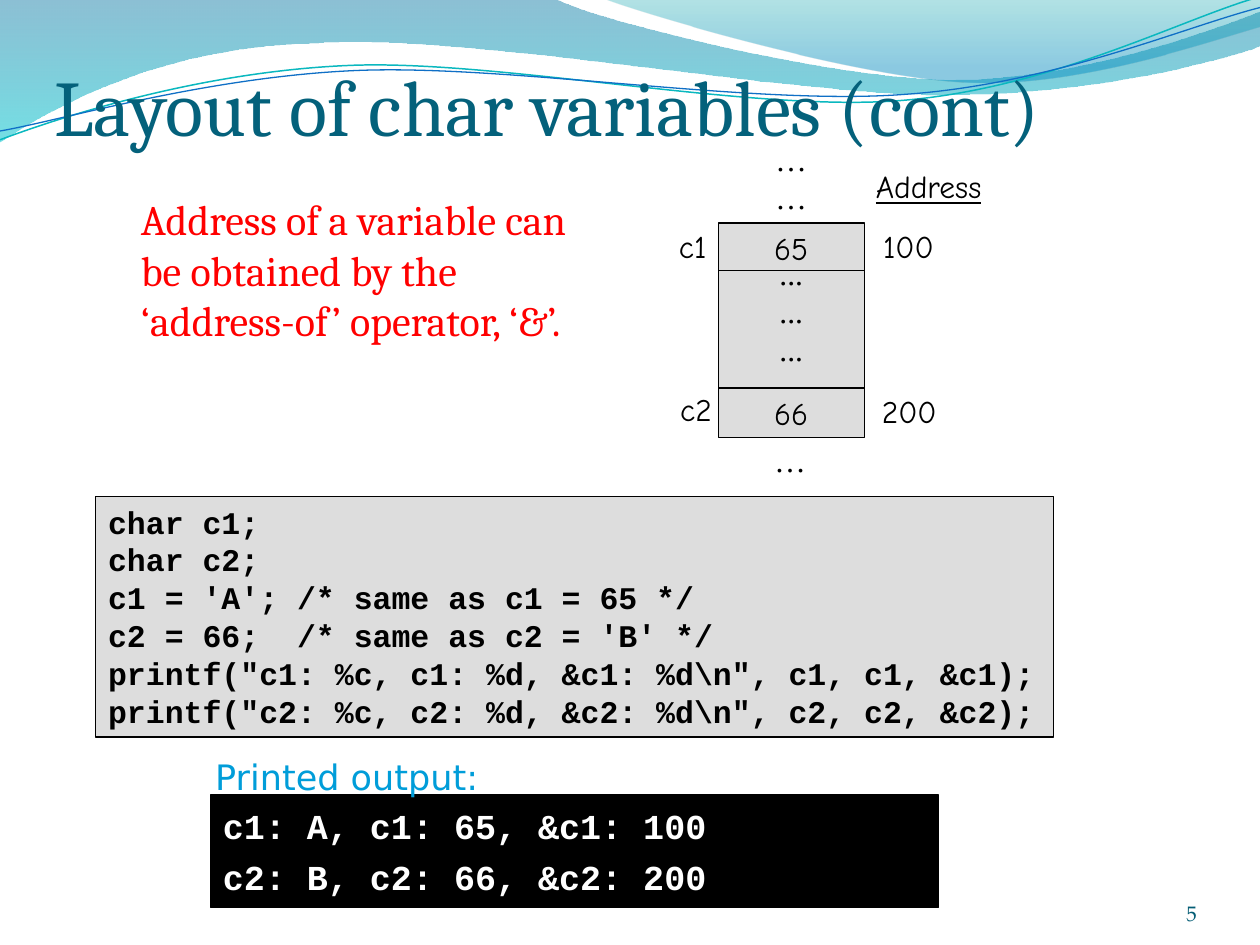
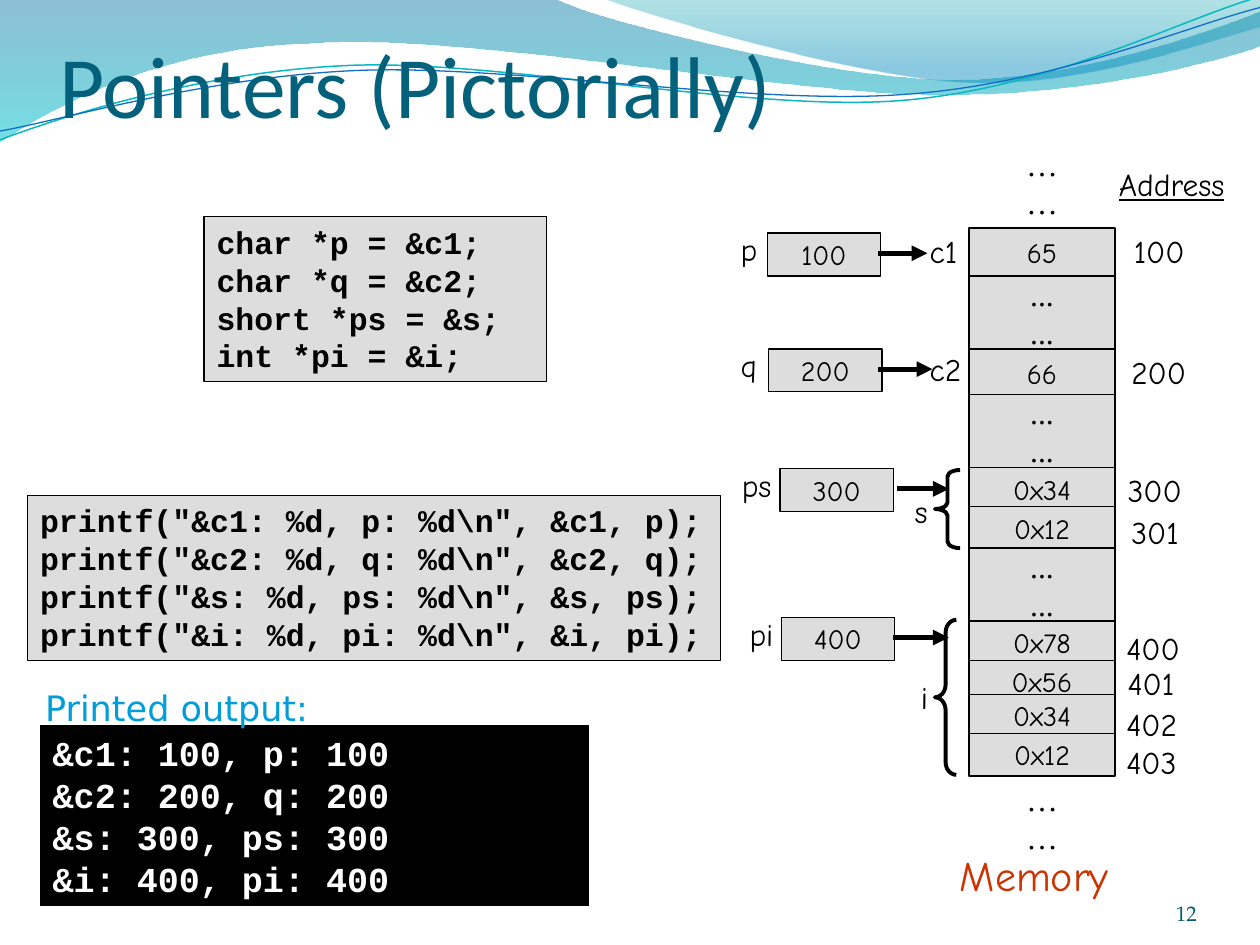
"""Build two slides on the memory layout of C variables and pointers."""
from dataclasses import dataclass, replace
from typing import NamedTuple

from lxml import etree
from pptx import Presentation
from pptx.dml.color import RGBColor
from pptx.enum import shapes as kinds, text as txt
from pptx.oxml import ns
from pptx.util import Inches, Pt

BLACK, WHITE, GREY = "000000", "FFFFFF", "DDDDDD"
CELL_WIDTH = 1.16
GLYPH_WIDTHS = {"1": 0.12, "c": 0.12, "i": 0.07, "s": 0.12, "p": 0.14, "q": 0.13}
LEFT, CENTER, RIGHT = txt.PP_ALIGN.LEFT, txt.PP_ALIGN.CENTER, txt.PP_ALIGN.RIGHT
TOP, MIDDLE, BOTTOM = txt.MSO_ANCHOR.TOP, txt.MSO_ANCHOR.MIDDLE, txt.MSO_ANCHOR.BOTTOM


@dataclass(frozen=True)
class Style:
    """Look of one block of text."""
    font: str
    size: float
    color: str = BLACK
    bold: bool = False
    underline: bool = False
    align: int = LEFT
    anchor: int = TOP
    wrap: bool = True
    insets: tuple = (0.1, 0.05, 0.1, 0.05)
    hanging: float = 0
    gap: float = 0


class Box(NamedTuple):
    """Left, top, width and height in inches."""
    left: float
    top: float
    width: float
    height: float


class Label(NamedTuple):
    """Short text placed beside the memory column."""
    text: str
    left: float
    top: float


class Cell(NamedTuple):
    """One block of the memory column."""
    text: str
    top: float
    height: float


class Pointer(NamedTuple):
    """A named pointer box with an arrow to its target."""
    name: str
    name_left: float
    value: str
    left: float
    top: float
    arrow_start: float
    arrow_tip: float


class Wave(NamedTuple):
    """A path of lines (1 point) and Bezier curves (3 points)."""
    start: tuple
    segments: list
    stops: tuple = ()
    line: tuple = ()


TITLE = Style("Cambria", 45, "04617B", anchor=BOTTOM, insets=(0, 0.05, 0, 0))
PAGE = Style("TeX Gyre Pagella", 12, "045D75", align=RIGHT, anchor=BOTTOM, insets=(0, 0, 0, 0))
LABEL = Style("Comic Neue", 18, wrap=False)
HEADING = replace(LABEL, underline=True, align=CENTER)
VALUE = replace(LABEL, align=CENTER, anchor=MIDDLE)
SMALL_VALUE = replace(VALUE, size=16)
DOTS = replace(VALUE, font="Times New Roman")
CODE = Style("Courier New", 18, bold=True, hanging=0.38)
OUTPUT = Style("Courier New", 20, WHITE, bold=True, anchor=MIDDLE)
CAPTION = Style("DejaVu Sans", 20, "009DD9", wrap=False)

WAVES = [
    Wave((0, 0), [[(4.4, -0.01)], [(4.76, 0.17), (6.64, 0.63), (7.58, 0.63)],
                  [(8.53, 0.63), (9.58, 0.26), (10, 0.09)], [(10.01, 0.36)],
                  [(9.83, 0.44), (8.7, 0.76), (7.46, 0.75)],
                  [(6.22, 0.75), (3.82, 0.28), (2.57, 0.34)],
                  [(1.29, 0.36), (0.46, 0.83), (-0.01, 1.13)], [(0, 0)]],
         stops=((0, "0074A1", 45), (1, "00C6CF", 55))),
    Wave((4.79, -0.01), [[(5.09, 0.11), (6.82, 0.62), (7.69, 0.65)],
                         [(8.56, 0.69), (9.61, 0.32), (10, 0.21)], [(10, 0)], [(4.79, -0.01)]],
         stops=((0, "00A1A9", 30), (0.8, "008BBF", 45))),
    Wave((0, 1.11), [[(0.48, 0.93), (1.58, 0.57), (2.77, 0.52)],
                     [(3.95, 0.47), (5.93, 0.89), (7.13, 0.8)],
                     [(8.33, 0.71), (9.38, 0.15), (9.98, -0.02)]], line=("0AB8BF", 0.85)),
    Wave((0, 1.04), [[(0.47, 0.96), (1.64, 0.61), (2.83, 0.56)],
                     [(4.03, 0.51), (5.97, 0.84), (7.17, 0.75)],
                     [(8.36, 0.67), (9.41, 0.21), (10, 0.06)]], line=("0F6FC6", 0.75)),
]


def rgb(color: str) -> RGBColor:
    """Turn a hex string into a colour."""
    return RGBColor.from_string(color)


def place(box: tuple) -> tuple:
    """Convert inches to lengths."""
    return tuple(Inches(length) for length in box)


def set_line(part, color: str, width: float) -> None:
    """Give a shape or connector a solid line."""
    part.line.color.rgb = rgb(color)
    part.line.width = Pt(width)


def write(part, lines: list, style: Style) -> None:
    """Fill a shape with one paragraph per line."""
    frame = part.text_frame
    frame.text = "\n".join(lines)
    frame.auto_size = txt.MSO_AUTO_SIZE.NONE
    frame.word_wrap = style.wrap
    frame.vertical_anchor = style.anchor
    (frame.margin_left, frame.margin_top,
     frame.margin_right, frame.margin_bottom) = place(style.insets)
    for index, paragraph in enumerate(frame.paragraphs):
        paragraph.alignment = style.align
        if index and style.gap:
            paragraph.space_before = Pt(style.gap)
        if style.hanging:
            properties = paragraph._p.get_or_add_pPr()
            properties.set("marL", str(Inches(style.hanging)))
            properties.set("indent", str(-Inches(style.hanging)))
        for run in paragraph.runs:
            run.font.name = style.font
            run.font.size = Pt(style.size)
            run.font.bold = style.bold
            run.font.underline = style.underline
            run.font.color.rgb = rgb(style.color)


def add_text(slide, box: Box, lines: list, style: Style) -> None:
    """Add a plain text box."""
    write(slide.shapes.add_textbox(*place(box)), lines, style)


def add_panel(slide, box: Box, lines: list, style: Style, fill: str = GREY) -> None:
    """Add a filled rectangle with a thin black border."""
    panel = slide.shapes.add_shape(kinds.MSO_SHAPE.RECTANGLE, *place(box))
    panel.shadow.inherit = False
    panel.fill.solid()
    panel.fill.fore_color.rgb = rgb(fill)
    set_line(panel, BLACK, 0.75)
    write(panel, lines, style)


def add_label(slide, label: Label) -> None:
    """Add a short label sized to its text."""
    width = 0.2 + sum(GLYPH_WIDTHS.get(glyph, 0.15) for glyph in label.text)
    add_text(slide, Box(label.left, label.top, width, 0.4), [label.text], LABEL)


def add_cells(slide, left: float, cells: list, style: Style) -> None:
    """Draw the value cells of a memory column."""
    for cell in cells:
        add_panel(slide, Box(left, cell.top, CELL_WIDTH, cell.height), [cell.text], style)


def add_gaps(slide, left: float, tops: list) -> None:
    """Draw the two-row elided cells of a memory column."""
    for top in tops:
        add_panel(slide, Box(left, top, CELL_WIDTH, 0.58), ["..."] * 2, DOTS)


def add_output(slide, box: Box, lines: list, style: Style = OUTPUT) -> None:
    """Draw a black console with its caption above."""
    add_panel(slide, box, lines, style, BLACK)
    add_text(slide, Box(box.left - 0.06, box.top - 0.36, 2.32, 0.43), ["Printed output:"], CAPTION)


def add_brace(slide, box: Box, curl: float) -> None:
    """Draw a left brace around a group of cells."""
    brace = slide.shapes.add_shape(kinds.MSO_SHAPE.LEFT_BRACE, *place(box))
    brace.shadow.inherit = False
    brace.fill.background()
    brace.adjustments[0] = curl
    set_line(brace, BLACK, 2.25)


def add_pointer(slide, pointer: Pointer) -> None:
    """Draw a pointer's name, box and arrow."""
    add_panel(slide, Box(pointer.left, pointer.top, 0.9, 0.34), [pointer.value], SMALL_VALUE)
    add_label(slide, Label(pointer.name, pointer.name_left, pointer.top - 0.07))
    height = Inches(pointer.top + 0.16)
    arrow = slide.shapes.add_connector(kinds.MSO_CONNECTOR.STRAIGHT, Inches(pointer.arrow_start),
                                       height, Inches(pointer.arrow_tip), height)
    set_line(arrow, BLACK, 3)
    etree.SubElement(arrow.line._get_or_add_ln(), ns.qn("a:tailEnd"), type="triangle")
    etree.SubElement(arrow._element.spPr, ns.qn("a:effectLst"))


def bend(band, segments: list) -> None:
    """Turn the straight segments of a freeform into Bezier curves."""
    sides = list(band._element.iter(ns.qn("a:lnTo")))
    for side, points in zip(sides, segments):
        if len(points) == 3:
            curve = etree.Element(ns.qn("a:cubicBezTo"))
            for x, y in points:
                etree.SubElement(curve, ns.qn("a:pt"), x=str(Inches(x) - band.left),
                                 y=str(Inches(y) - band.top))
            side.getparent().replace(side, curve)


def add_wave(slide, wave: Wave):
    """Draw one wave of the header band."""
    builder = slide.shapes.build_freeform(*place(wave.start))
    builder.add_line_segments([place(points[-1]) for points in wave.segments],
                              close=bool(wave.stops))
    band = builder.convert_to_shape()
    bend(band, wave.segments)
    band.shadow.inherit = False
    if wave.line:
        band.fill.background()
        set_line(band, *wave.line)
        return band
    band.line.fill.background()
    band.fill.gradient()
    band.fill.gradient_angle = 270
    for stop, (position, color, opacity) in zip(band.fill.gradient_stops, wave.stops):
        stop.position = position
        stop.color.rgb = rgb(color)
        tint = stop._gs.find(ns.qn("a:srgbClr"))
        etree.SubElement(tint, ns.qn("a:alpha"), val=str(opacity * 1000))
    return band


def add_slide(deck, title: str, box: Box, style: Style, page: str):
    """Add a title-only slide with its page number."""
    slide = deck.slides.add_slide(deck.slide_layouts[5])
    heading = slide.shapes.title
    heading.left, heading.top, heading.width, heading.height = place(box)
    write(heading, [title], style)
    add_text(slide, Box(8.67, 6.95, 0.83, 0.4), [page], PAGE)
    return slide


def share_waves(deck, slide) -> None:
    """Draw the header band and move it to the master."""
    tree = deck.slide_master.shapes._spTree
    for index, wave in enumerate(WAVES):
        tree.insert(2 + index, add_wave(slide, wave)._element)


def build_layout_slide(deck) -> None:
    """Build the slide on char variables."""
    slide = add_slide(deck, "Layout of char variables (cont)", Box(0.43, -0.04, 9, 1.25), TITLE, "5")
    share_waves(deck, slide)
    column = 5.7
    for left, top in [(column, 1.08), (5.69, 3.47)]:
        add_text(slide, Box(left, top, CELL_WIDTH, 0.66), ["…"] * 2, DOTS)
    add_cells(slide, column, [Cell("65", 1.77, 0.39), Cell("66", 3.08, 0.39)], VALUE)
    add_panel(slide, Box(column, 2.15, CELL_WIDTH, 0.93), ["..."] * 3,
              replace(DOTS, insets=(0.1, 0.05, 0.1, 0.34)))
    for label in [Label("c1", 5.29, 1.75), Label("c2", 5.3, 3.05),
                  Label("100", 6.91, 1.75), Label("200", 6.9, 3.06)]:
        add_label(slide, label)
    add_text(slide, Box(6.78, 1.28, 1.18, 0.4), ["Address"], HEADING)
    add_panel(slide, Box(0.76, 3.94, 7.6, 1.91), [
        "char c1;", "char c2;", "c1 = 'A'; /* same as c1 = 65 */",
        "c2 = 66;  /* same as c2 = 'B' */",
        r'printf("c1: %c, c1: %d, &c1: %d\n", c1, c1, &c1);',
        r'printf("c2: %c, c2: %d, &c2: %d\n", c2, c2, &c2);'], CODE)
    add_output(slide, Box(1.67, 6.31, 5.78, 0.89),
               ["c1: A, c1: 65, &c1: 100", "c2: B, c2: 66, &c2: 200"], replace(OUTPUT, gap=5))
    add_text(slide, Box(1.02, 1.49, 3.64, 1.72),
             ["Address of a variable can be obtained by the ‘address-of’ operator, ‘&’."],
             Style("Cambria", 24, "FF0000"))


def build_pointer_slide(deck) -> None:
    """Build the slide on pointers."""
    slide = add_slide(deck, "Pointers (Pictorially)", Box(0.31, 0.15, 9.39, 0.93),
                      replace(TITLE, font="Calibri", size=50, insets=(0.16, 0.05, 0, 0)), "12")
    column = 7.69
    for top in (1.12, 6.16):
        add_text(slide, Box(column, top, CELL_WIDTH, 0.66), ["…"] * 2, DOTS)
    add_cells(slide, column, [Cell("65", 1.81, 0.39), Cell("66", 2.77, 0.39)], SMALL_VALUE)
    add_gaps(slide, column, [2.19, 3.13])
    add_cells(slide, column, [Cell(value, top, 0.34) for value, top in [
        ("0x34", 3.71), ("0x12", 4.02), ("0x78", 4.93),
        ("0x56", 5.24), ("0x34", 5.51), ("0x12", 5.82)]], SMALL_VALUE)
    add_gaps(slide, column, [4.35])
    for label in [Label("c1", 7.28, 1.79), Label("c2", 7.28, 2.73), Label("s", 7.16, 3.86),
                  Label("i", 7.21, 5.33), Label("100", 8.9, 1.79), Label("200", 8.88, 2.75),
                  Label("300", 8.85, 3.69), Label("301", 8.88, 4.02), Label("400", 8.84, 4.94),
                  Label("401", 8.85, 5.22), Label("402", 8.84, 5.55), Label("403", 8.84, 5.85)]:
        add_label(slide, label)
    add_text(slide, Box(8.71, 1.26, 1.18, 0.4), ["Address"], HEADING)
    add_text(slide, Box(7.52, 6.69, 1.45, 0.5), ["Memory"], replace(LABEL, size=24, color="CC3300"))
    add_brace(slide, Box(7.42, 3.73, 0.2, 0.62), 0.26)
    add_brace(slide, Box(7.42, 4.92, 0.17, 1.23), 0.59)
    for pointer in [Pointer("p", 5.78, "100", 6.09, 1.85, 6.97, 7.36),
                    Pointer("q", 5.78, "200", 6.1, 2.77, 6.97, 7.4),
                    Pointer("ps", 5.79, "300", 6.19, 3.72, 7.12, 7.53),
                    Pointer("pi", 5.85, "400", 6.2, 4.9, 7.09, 7.53)]:
        add_pointer(slide, pointer)
    add_panel(slide, Box(1.62, 1.72, 2.72, 1.31),
              ["char *p = &c1;", "char *q = &c2;", "short *ps = &s;", "int *pi = &i;"], CODE)
    targets = [("c1", "p", 100), ("c2", "q", 200), ("s", "ps", 300), ("i", "pi", 400)]
    add_panel(slide, Box(0.22, 3.93, 5.5, 1.31),
              [rf'printf("&{name}: %d, {ptr}: %d\n", &{name}, {ptr});' for name, ptr, _ in targets],
              CODE)
    add_output(slide, Box(0.32, 5.76, 4.35, 1.43),
               [f"&{name}: {address}, {ptr}: {address}" for name, ptr, address in targets])


presentation = Presentation()
presentation.slide_width, presentation.slide_height = Inches(10), Inches(7.5)
build_layout_slide(presentation)
build_pointer_slide(presentation)
presentation.save("out.pptx")
